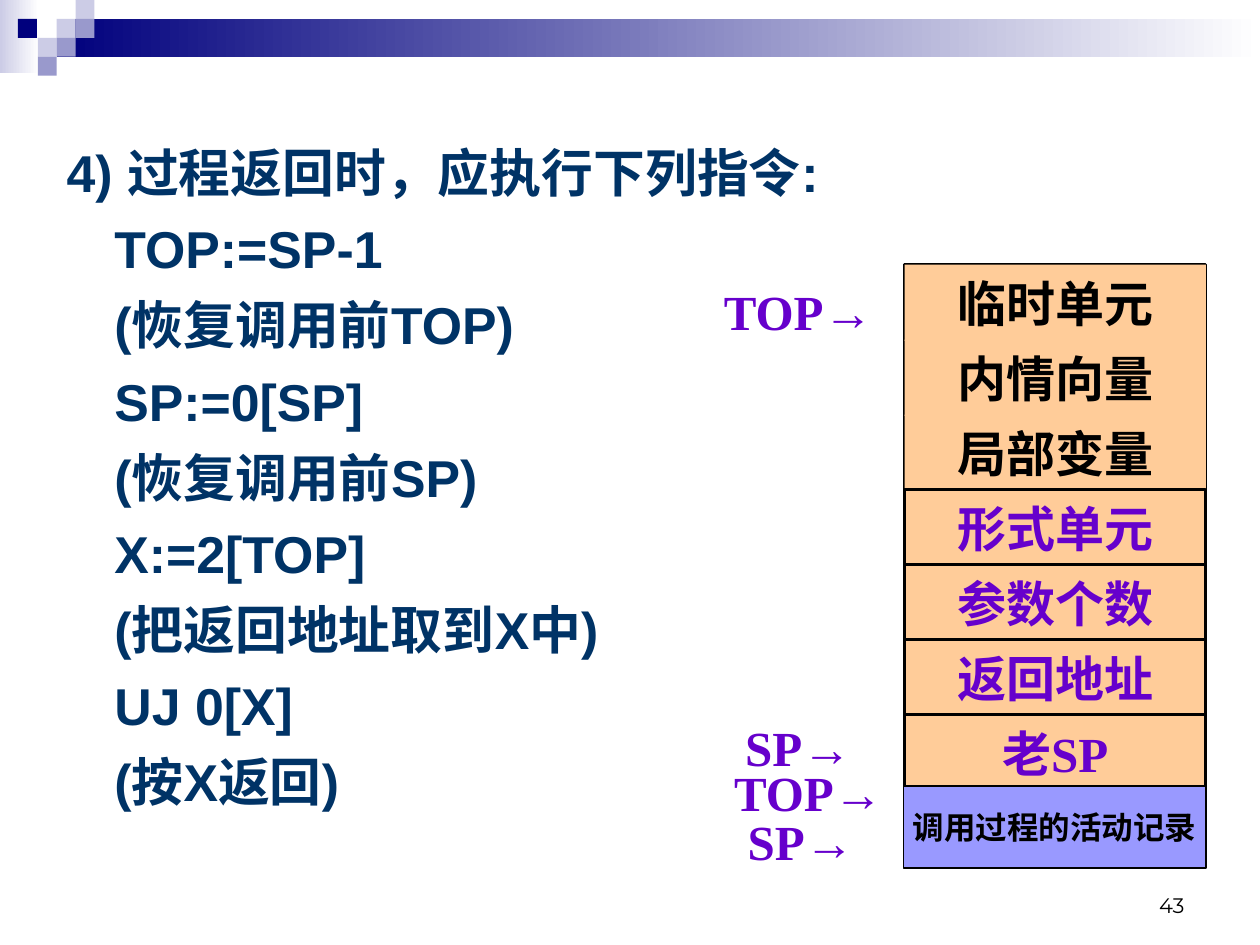
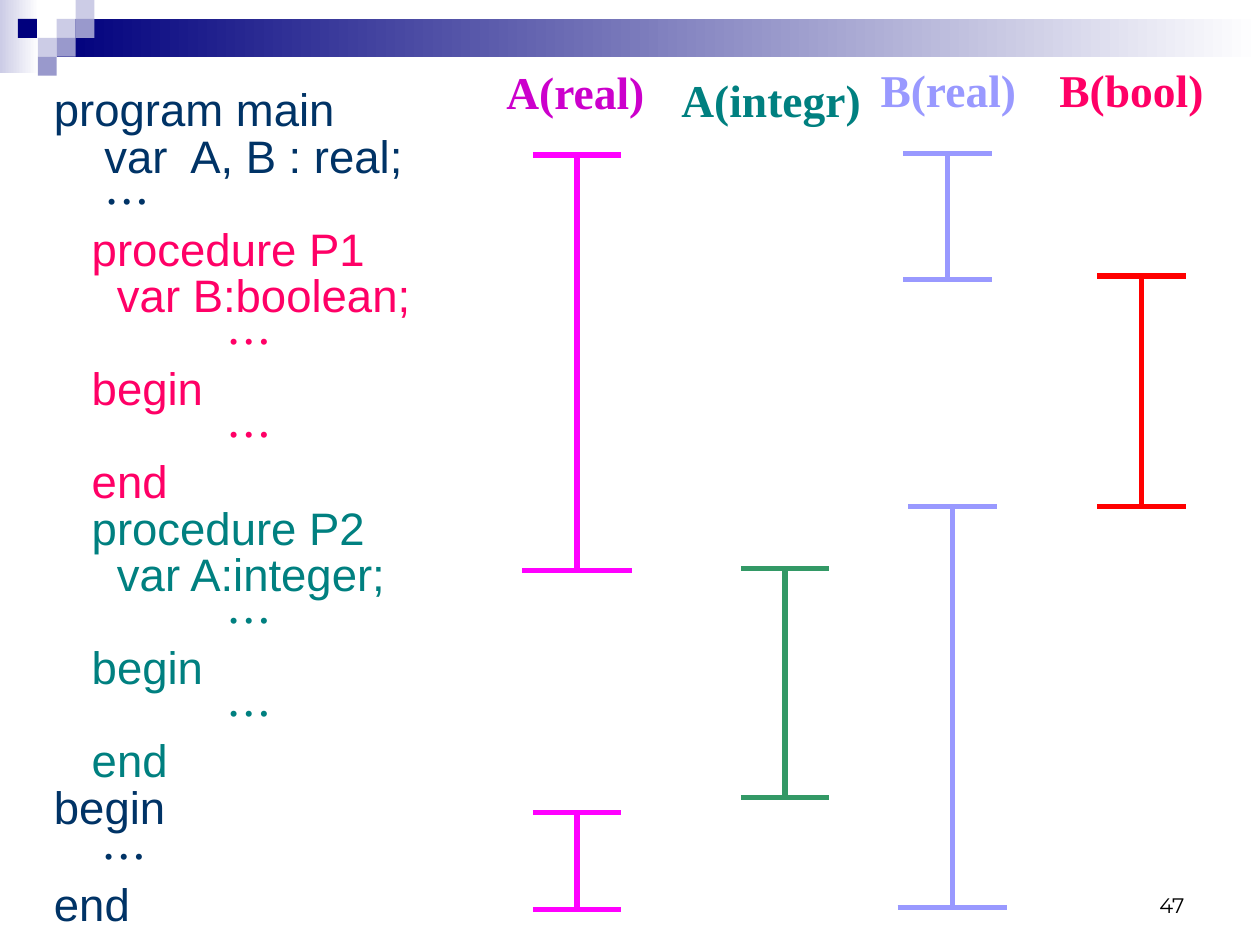
from lxml.etree import SubElement
from pptx import Presentation
from pptx.dml.color import RGBColor
from pptx.enum.shapes import MSO_CONNECTOR, MSO_SHAPE
from pptx.enum.text import MSO_ANCHOR, PP_ALIGN
from pptx.oxml.ns import qn
from pptx.util import Inches, Pt

COLOURS = {
    "navy": "00007D", "lavender": "CCCCE6", "mauve": "9999CC", "white": "FFFFFF",
    "ink": "003366", "black": "000000", "peach": "FFCC99", "violet": "6600CC",
    "periwinkle": "9999FF", "pink": "FF0066", "teal": "008080", "purple": "CC00CC",
    "magenta": "FF00FF", "red": "FF0000", "green": "339966",
}
SANS, SERIF, CHINESE, NUMBER = "Arial", "Times New Roman", "Noto Sans CJK SC", "Montserrat"


def colour(name):
    return RGBColor.from_string(COLOURS[name])


def add_span(para, text, size, ink, font=SANS, bold=False, asian=CHINESE):
    """Add one run; asian is the font for its East Asian characters."""
    span = para.add_run()
    span.text = text
    span.font.name = font
    span.font.size = Pt(size)
    span.font.bold = bold
    span.font.color.rgb = colour(ink)
    SubElement(span.font._element, qn("a:ea")).set("typeface", asian)


def add_text_box(page, left, top, width, height, wrap=False, anchor=MSO_ANCHOR.TOP):
    box = page.shapes.add_textbox(Inches(left), Inches(top), Inches(width), Inches(height))
    box.text_frame.word_wrap = wrap
    box.text_frame.vertical_anchor = anchor
    return box.text_frame


def add_rectangle(page, left, top, width, height, fill, fade_to=None, line=None):
    """Add a plain or left-to-right fading rectangle; line is a width in points."""
    shape = page.shapes.add_shape(
        MSO_SHAPE.RECTANGLE, Inches(left), Inches(top), Inches(width), Inches(height))
    shape.shadow.inherit = False
    if fade_to:
        shape.fill.gradient()
        shape.fill.gradient_angle = 0
        for stop, name, position in zip(shape.fill.gradient_stops, (fill, fade_to), (0, 1)):
            stop.color.rgb = colour(name)
            stop.position = position
    else:
        shape.fill.solid()
        shape.fill.fore_color.rgb = colour(fill)
    if line:
        shape.line.color.rgb = colour("black")
        shape.line.width = Pt(line)
    else:
        shape.line.fill.background()
    return shape


def add_line(page, start, end, ink):
    line = page.shapes.add_connector(
        MSO_CONNECTOR.STRAIGHT, *(Inches(value) for value in (*start, *end)))
    line.line.color.rgb = colour(ink)
    line.line.width = Pt(3)
    SubElement(line._element.spPr, qn("a:effectLst"))


def add_header_band(page):
    add_rectangle(page, 0, 0, 0.31, 0.58, "lavender", fade_to="white")
    add_rectangle(page, 0.45, 0.15, 9.55, 0.3, "navy", fade_to="white")
    side = 0.15
    for column, row, fill in (
            (3, 1, "lavender"), (4, 0, "lavender"), (4, 1, "mauve"), (2, 2, "lavender"),
            (0.95, 1, "navy"), (3, 2, "mauve"), (2, 3, "mauve")):
        add_rectangle(page, column * side, row * side, side, side, fill)


def add_page_number(page, number):
    frame = add_text_box(page, 7.17, 6.83, 2.33, 0.5, wrap=True, anchor=MSO_ANCHOR.BOTTOM)
    para = frame.paragraphs[0]
    para.alignment = PP_ALIGN.RIGHT
    add_span(para, str(number), 12, "black", NUMBER)


def start_page(deck, number):
    page = deck.slides.add_slide(deck.slide_layouts[6])
    add_header_band(page)
    add_page_number(page, number)
    return page


def add_lines(frame, lines, size, line_height, gap, bold=False):
    """Fill a frame with (indent, ink, text) lines on an even pitch."""
    for index, (indent, ink, text) in enumerate(lines):
        para = frame.paragraphs[0] if index == 0 else frame.add_paragraph()
        para._p.get_or_add_pPr().set("marL", str(Inches(indent)))
        para.line_spacing = Pt(line_height)
        if index:
            para.space_before = Pt(gap)
        add_span(para, text, size, ink, CHINESE if text == "…" else SANS, bold)


def add_stack(page, left, top, width):
    """Draw the activation record as a column of equal cells above its caller."""
    cells = (("临时单元", "black"), ("内情向量", "black"), ("局部变量", "black"),
             ("形式单元", "violet"), ("参数个数", "violet"), ("返回地址", "violet"),
             ("老SP", "violet"))
    pitch, overlap = 0.595, 0.01
    add_rectangle(page, left, top, width, len(cells) * pitch, "peach", line=1.5)
    for index, (label, ink) in enumerate(cells):
        cell = add_rectangle(page, left, top + index * pitch, width, pitch + overlap, "peach",
                             line=1.5 if ink == "violet" else None)
        label_cell(cell, label, 28, ink, SERIF)
    caller = add_rectangle(page, left - 0.01, top + 4.14, width + 0.01, 0.65,
                           "periwinkle", line=1)
    label_cell(caller, "调用过程的活动记录", 18, "black", SANS)


def label_cell(cell, label, size, ink, font):
    frame = cell.text_frame
    frame.word_wrap = False
    frame.vertical_anchor = MSO_ANCHOR.MIDDLE
    frame.paragraphs[0].alignment = PP_ALIGN.CENTER
    add_span(frame.paragraphs[0], label, size, ink, font, True)


def add_pointer(page, left, top, register):
    frame = add_text_box(page, left, top, 1.65, 0.63, anchor=MSO_ANCHOR.MIDDLE)
    para = frame.paragraphs[0]
    para.alignment = PP_ALIGN.CENTER
    add_span(para, register, 28, "violet", SERIF, True)
    add_span(para, "→", 28, "violet", SANS, True, asian=SANS)


def build_return_page(deck):
    page = start_page(deck, 43)
    steps = ("TOP:=SP-1", "(恢复调用前TOP)", "SP:=0[SP]", "(恢复调用前SP)", "X:=2[TOP]",
             "(把返回地址取到X中)", "UJ 0[X]", "(按X返回)")
    lines = [(0, "ink", "4) 过程返回时，应执行下列指令:")]
    lines += [(0.38, "ink", step) for step in steps]
    add_lines(add_text_box(page, 0.43, 1.07, 6.85, 5.83, wrap=True), lines,
              29.6, 35.5, 8, bold=True)
    add_stack(page, 7.18, 2.1, 2.39)
    for left, top, register in ((5.51, 2.15, "TOP"), (5.51, 5.61, "SP"),
                                (5.53, 6.36, "SP"), (5.59, 5.97, "TOP")):
        add_pointer(page, left, top, register)


def procedure_lines(name, declaration, ink):
    dots = (1.37, ink, "…")
    return [(0, ink, f"   procedure {name}"), (0, ink, f"     var {declaration};"), dots,
            (0, ink, "   begin"), dots, (0, ink, "   end")]


def add_program(page, left, top):
    lines = [(0, "ink", "program main"), (0, "ink", "    var  A, B : real;"), (0.4, "ink", "…")]
    lines += procedure_lines("P1", "B:boolean", "pink")
    lines += procedure_lines("P2", "A:integer", "teal")
    lines += [(0, "ink", "begin"), (0.38, "ink", "…"), (0, "ink", "end")]
    frame = add_text_box(page, left, top, 3.83, 6.85, wrap=True)
    add_lines(frame, lines, 26, 25, 1.6)
    frame.paragraphs[-2].line_spacing = Pt(27)


def add_scope(page, centre, top, bottom, ink, foot=0.7):
    """Draw an I-shaped bar over the lines where a variable is visible."""
    for y, width in ((top, 0.7), (bottom, foot)):
        add_line(page, (centre - width / 2, y), (centre + width / 2, y), ink)
    add_line(page, (centre, top), (centre, bottom), ink)


def build_scope_page(deck):
    page = start_page(deck, 47)
    add_program(page, 0.33, 0.68)
    for left, top, width, label, ink in (
            (3.92, 0.46, 1.4, "A(real)", "purple"), (5.31, 0.52, 1.8, "A(integr)", "teal"),
            (6.89, 0.44, 1.4, "B(real)", "periwinkle"), (8.31, 0.44, 1.6, "B(bool)", "pink")):
        frame = add_text_box(page, left, top, width, 0.54)
        add_span(frame.paragraphs[0], label, 26, ink, SERIF, True)
    add_scope(page, 4.58, 1.23, 4.53, "magenta", foot=0.87)
    add_scope(page, 4.58, 6.45, 7.22, "magenta")
    add_scope(page, 6.23, 4.51, 6.33, "green")
    add_scope(page, 7.52, 1.22, 2.22, "periwinkle")
    add_scope(page, 7.56, 4.02, 7.2, "periwinkle", foot=0.87)
    add_scope(page, 9.06, 2.19, 4.02, "red")


def main():
    deck = Presentation()
    deck.slide_width, deck.slide_height = Inches(10), Inches(7.5)
    build_return_page(deck)
    build_scope_page(deck)
    deck.save("out.pptx")


if __name__ == "__main__":
    main()
